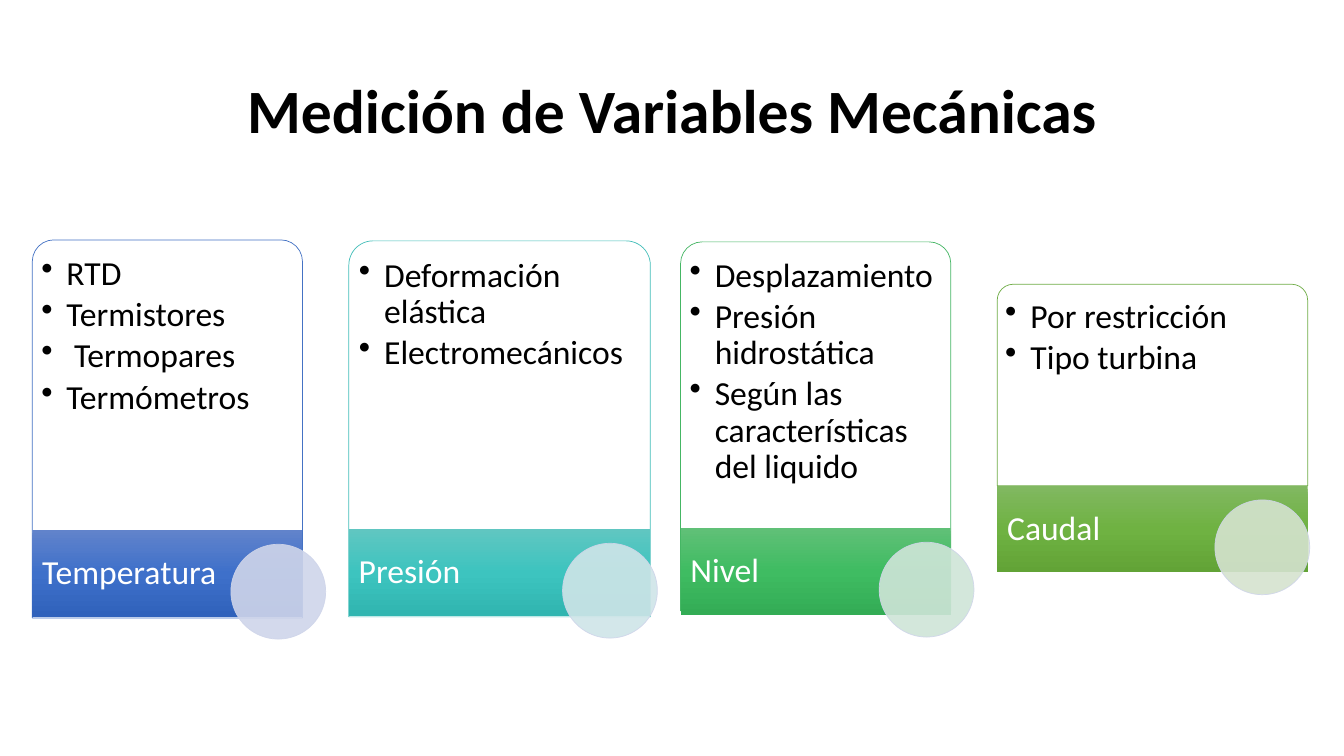
import copy
import lxml.etree
import pptx
import pptx.dml.color
import pptx.enum.shapes
import pptx.enum.text
import pptx.oxml.ns
import pptx.util

Inches = pptx.util.Inches
Pt = pptx.util.Pt
RGBColor = pptx.dml.color.RGBColor
MSO_SHAPE = pptx.enum.shapes.MSO_SHAPE
MSO_ANCHOR = pptx.enum.text.MSO_ANCHOR
qn = pptx.oxml.ns.qn

BLACK = RGBColor(0x00, 0x00, 0x00)
WHITE = RGBColor(0xFF, 0xFF, 0xFF)
CIRCLE_LINE = RGBColor(0xCF, 0xD5, 0xEA)
BLUE = RGBColor(0x44, 0x72, 0xC4)
TEAL = RGBColor(0x43, 0xBE, 0xB9)
GREEN = RGBColor(0x45, 0xB6, 0x64)
OLIVE = RGBColor(0x70, 0xAD, 0x47)
BLUE_BAR = [RGBColor(0x61, 0x83, 0xCB), RGBColor(0x3E, 0x70, 0xCA), RGBColor(0x30, 0x62, 0xBB)]
TEAL_BAR = [RGBColor(0x60, 0xC6, 0xC1), RGBColor(0x3D, 0xC4, 0xBF), RGBColor(0x30, 0xB5, 0xB0)]
GREEN_BAR = [RGBColor(0x60, 0xC0, 0x77), RGBColor(0x3F, 0xBC, 0x62), RGBColor(0x33, 0xAC, 0x55)]
OLIVE_BAR = [RGBColor(0x81, 0xB8, 0x61), RGBColor(0x6F, 0xB2, 0x42), RGBColor(0x62, 0xA3, 0x36)]
BLUE_CIRCLE = RGBColor(0xCF, 0xD5, 0xEA)
TEAL_CIRCLE = RGBColor(0xCF, 0xE5, 0xE8)
GREEN_CIRCLE = RGBColor(0xCF, 0xE5, 0xD8)
OLIVE_CIRCLE = RGBColor(0xD5, 0xE3, 0xCF)

BAR_HEIGHT = 0.86
CIRCLE_SIZE = 0.94
LABEL_SHARE = 0.705

CARDS = [
    ("Temperatura", ["RTD", "Termistores", " Termopares", "Termómetros"],
     (0.32, 2.38, 2.68, 3.75), 5.26, 2.29, 0.06, BLUE, BLUE_BAR, BLUE_CIRCLE),
    ("Presión", ["Deformación elástica", "Electromecánicos"],
     (3.46, 2.39, 2.99, 3.73), 5.25, 5.58, 0.07, TEAL, TEAL_BAR, TEAL_CIRCLE),
    ("Nivel", ["Desplazamiento", "Presión hidrostática", "Según las características del liquido"],
     (6.75, 2.4, 2.68, 3.66), 5.24, 8.72, 0.06, GREEN, GREEN_BAR, GREEN_CIRCLE),
    ("Caudal", ["Por restricción", "Tipo turbina"],
     (9.89, 2.82, 3.08, 2), 4.82, 12.05, 0.05, OLIVE, OLIVE_BAR, OLIVE_CIRCLE),
]


def add_translucent_shape(kind, box, fill_color, line_color):
    shape = slide.shapes.add_shape(kind, *map(Inches, box))
    shape.shadow.inherit = False
    shape.fill.solid()
    shape.fill.fore_color.rgb = fill_color
    shape.line.color.rgb = line_color
    shape.line.width = Pt(0.5)
    color = shape.fill._xPr.find(qn("a:solidFill"))[0]
    lxml.etree.SubElement(color, qn("a:alpha"), val="90000")
    return shape


def add_text(box, insets, anchor, lines, color, space_after, bulleted):
    frame = slide.shapes.add_textbox(*map(Inches, box)).text_frame
    frame.word_wrap = True
    frame.vertical_anchor = anchor
    frame.margin_left, frame.margin_top, frame.margin_right, frame.margin_bottom = map(Inches, insets)
    frame.text = "\n".join(lines)
    for paragraph in frame.paragraphs:
        if bulleted:
            paragraph.level = 1
            properties = paragraph._p.get_or_add_pPr()
            properties.set("marL", str(Inches(0.25)))
            properties.set("indent", str(Inches(-0.25)))
            lxml.etree.SubElement(properties, qn("a:buChar"), char="•")
        paragraph.line_spacing = 0.9
        paragraph.space_after = Pt(space_after)
        paragraph.font.name = "Calibri"
        paragraph.font.size = Pt(24)
        paragraph.font.color.rgb = color


presentation = pptx.Presentation()
presentation.slide_width = Inches(13.33)
presentation.slide_height = Inches(7.5)
slide = presentation.slides.add_slide(presentation.slide_layouts[5])

title = slide.shapes.title
title.left, title.top, title.width, title.height = map(Inches, (0.92, 0.4, 11.5, 1.45))
title.text_frame.text = "Medición de Variables Mecánicas"
title.text_frame.vertical_anchor = MSO_ANCHOR.MIDDLE
heading = title.text_frame.paragraphs[0]
heading.alignment = pptx.enum.text.PP_ALIGN.CENTER
heading.line_spacing = 0.9
heading.font.name = "Calibri"
heading.font.size = Pt(44)
heading.font.bold = True
heading.font.color.rgb = BLACK

for name, items, panel_box, bar_top, circle_left, inset, accent, bar_colors, circle_color in CARDS:
    left, top, width, height = panel_box
    panel = add_translucent_shape(MSO_SHAPE.ROUND_2_SAME_RECTANGLE, panel_box, WHITE, accent)
    panel.adjustments[0] = 0.08
    panel.adjustments[1] = 0
    add_text((left + inset, top + inset, width - 2 * inset, height - inset),
             (0.03, 0.1, 0.03, 0.03), MSO_ANCHOR.TOP, items, BLACK, 3.6, True)

    bar = slide.shapes.add_shape(
        MSO_SHAPE.RECTANGLE, Inches(left), Inches(bar_top), Inches(width), Inches(BAR_HEIGHT))
    bar.shadow.inherit = False
    bar.line.fill.background()
    bar.fill.gradient()
    bar.fill.gradient_angle = 270
    stop_list = bar.fill._xPr.find(qn("a:gradFill")).find(qn("a:gsLst"))
    stop_list.append(copy.deepcopy(stop_list[-1]))
    for stop, position, color in zip(bar.fill.gradient_stops, (0, 0.5, 1), bar_colors):
        stop.position = position
        stop.color.rgb = color

    add_text((left, bar_top, LABEL_SHARE * width, BAR_HEIGHT),
             (0.1, 0, 0.03, 0), MSO_ANCHOR.MIDDLE, [name], WHITE, 8.4, False)

    circle = add_translucent_shape(
        MSO_SHAPE.OVAL, (circle_left, bar_top + 0.14, CIRCLE_SIZE, CIRCLE_SIZE),
        circle_color, CIRCLE_LINE)
    line_color = circle.line._ln.find(qn("a:solidFill"))[0]
    lxml.etree.SubElement(line_color, qn("a:alpha"), val="90000")

presentation.save("out.pptx")
